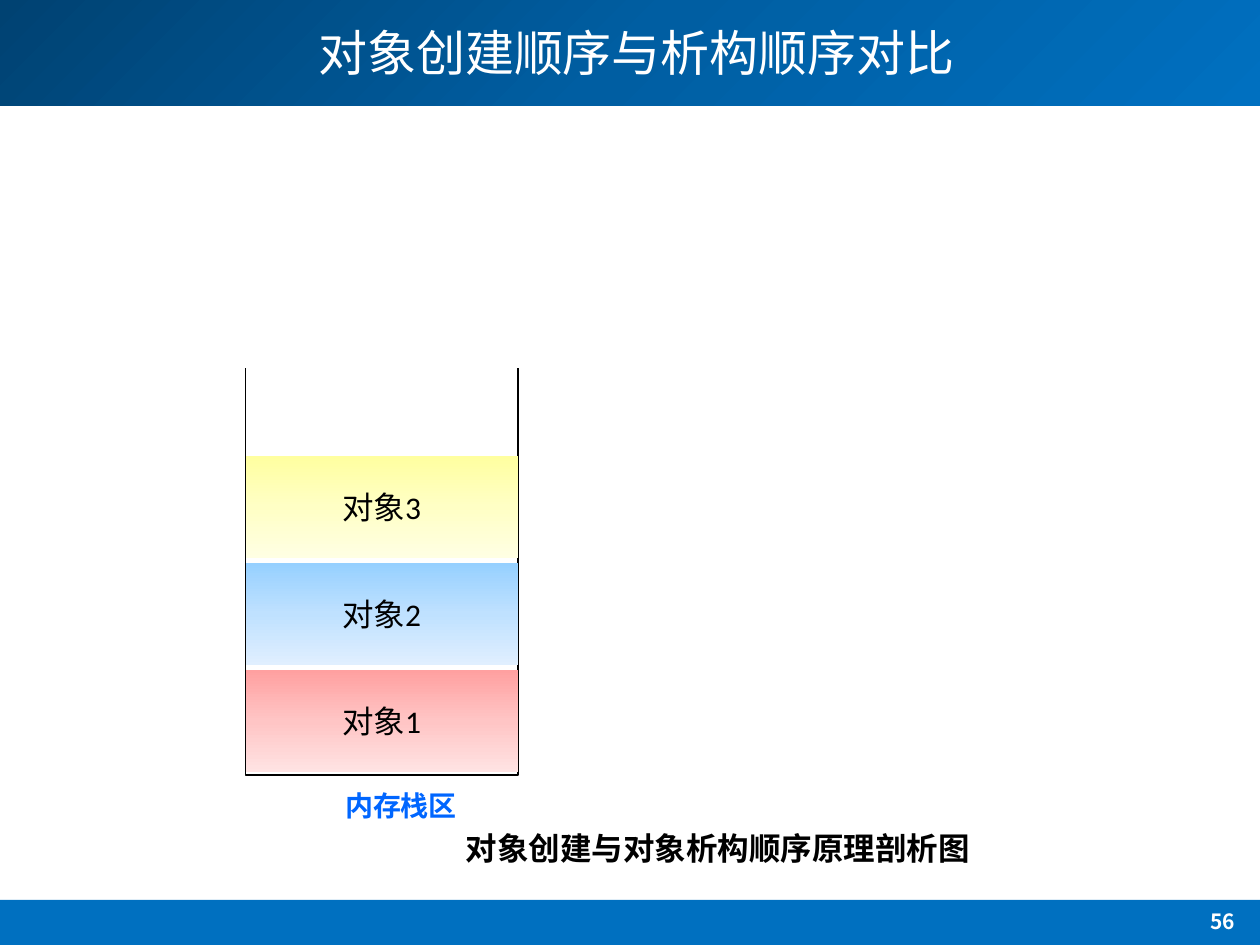
from lxml.etree import SubElement
from pptx import Presentation
from pptx.dml.color import RGBColor
from pptx.enum.shapes import MSO_SHAPE as Shape
from pptx.enum.text import MSO_ANCHOR as Anchor, MSO_AUTO_SIZE as AutoSize, PP_ALIGN as Align
from pptx.oxml.ns import qn
from pptx.util import Cm, Pt

CJK_FONT = "Noto Sans CJK SC"
SLIDE_WIDTH, SLIDE_HEIGHT = 25.4, 19.05
STACK_LEFT, STACK_WIDTH = 4.95, 5.49
CELL_HEIGHT, CELL_PITCH, BOTTOM_CELL_TOP = 2.06, 2.16, 13.51
STACK_OBJECTS = [
    ("对象1", ["FFA0A0", "FFC5C5", "FFE3E3"]),
    ("对象2", ["96D0FF", "BFE1FF", "E0EFFF"]),
    ("对象3", ["FFFFA0", "FFFFC5", "FFFFE3"]),
]


def color(hex_code):
    return RGBColor.from_string(hex_code)


def fill_gradient(shape, hex_codes, angle):
    """Spread the colours evenly; the angle runs clockwise from left to right."""
    shape.fill.gradient()
    shape.fill.gradient_angle = 360 - angle
    stops = shape._element.spPr.find(qn("a:gradFill")).find(qn("a:gsLst"))
    for stop in list(stops):
        stops.remove(stop)
    for index, hex_code in enumerate(hex_codes):
        position = 100000 * index // (len(hex_codes) - 1)
        stop = SubElement(stops, qn("a:gs"), pos=str(position))
        SubElement(stop, qn("a:srgbClr"), val=hex_code)


def add_rect(slide, left, top, width, height, fill=None, gradient=None, angle=90, line=None):
    rect = slide.shapes.add_shape(Shape.RECTANGLE, Cm(left), Cm(top), Cm(width), Cm(height))
    rect.shadow.inherit = False
    if gradient:
        fill_gradient(rect, gradient, angle)
    elif fill:
        rect.fill.solid()
        rect.fill.fore_color.rgb = color(fill)
    else:
        rect.fill.background()
    if line:
        rect.line.color.rgb = color(line)
        rect.line.width = Pt(1)
    else:
        rect.line.fill.background()
    return rect


def write_text(shape, text, size, hex_code="000000", font=CJK_FONT, bold=False,
               align=Align.LEFT, anchor=Anchor.TOP):
    frame = shape.text_frame
    frame.word_wrap = True
    frame.vertical_anchor = anchor
    paragraph = frame.paragraphs[0]
    paragraph.alignment = align
    run = paragraph.add_run()
    run.text = text
    run.font.size = Pt(size)
    run.font.bold = bold
    run.font.color.rgb = color(hex_code)
    run.font.name = font
    SubElement(run.font._element, qn("a:ea"), typeface=CJK_FONT)
    return paragraph


def add_label(slide, left, top, width, height, text, size, **style):
    label = slide.shapes.add_textbox(Cm(left), Cm(top), Cm(width), Cm(height))
    return label, write_text(label, text, size, **style)


def add_caption(slide, left, top, width, height, text, size, **style):
    """Bold label whose box grows with its text."""
    caption, _ = add_label(slide, left, top, width, height, text, size, bold=True, **style)
    caption.text_frame.auto_size = AutoSize.SHAPE_TO_FIT_TEXT


def add_page_frame(slide):
    add_rect(slide, 0, 0, SLIDE_WIDTH, 2.13, gradient=["004272", "005EA2", "0070C0"], angle=45)
    add_rect(slide, 0, 18.14, SLIDE_WIDTH, 0.91, fill="0070C0")
    add_label(slide, 23.44, 18.19, 2.41, 0.91, "56", 12,
              hex_code="FFFFFF", bold=True, align=Align.CENTER)
    _, title = add_label(slide, 2.16, 0, 21.34, 2.26, "对象创建顺序与析构顺序对比", 28,
                         hex_code="FFFFFF", align=Align.CENTER, anchor=Anchor.MIDDLE)
    title.line_spacing = 0.9


def add_memory_stack(slide):
    add_rect(slide, STACK_LEFT, 7.24, STACK_WIDTH, 8.38, line="000000")
    # A white strip opens the top of the stack.
    add_rect(slide, 4.72, 7.09, 5.94, 0.33, fill="FFFFFF")
    for level, (name, shades) in enumerate(STACK_OBJECTS):
        cell = add_rect(slide, STACK_LEFT, BOTTOM_CELL_TOP - level * CELL_PITCH,
                        STACK_WIDTH, CELL_HEIGHT, gradient=shades)
        write_text(cell, name, 18, font="Calibri", align=Align.CENTER, anchor=Anchor.MIDDLE)


def main():
    presentation = Presentation()
    presentation.slide_width, presentation.slide_height = Cm(SLIDE_WIDTH), Cm(SLIDE_HEIGHT)
    slide = presentation.slides.add_slide(presentation.slide_layouts[6])
    add_page_frame(slide)
    add_memory_stack(slide)
    add_caption(slide, 9.14, 16.59, 11.35, 1.02, "对象创建与对象析构顺序原理剖析图", 18)
    add_caption(slide, 6.71, 15.77, 3.71, 0.94, "内存栈区", 16,
                hex_code="0066FF", font="Calibri")
    presentation.save("out.pptx")


if __name__ == "__main__":
    main()
